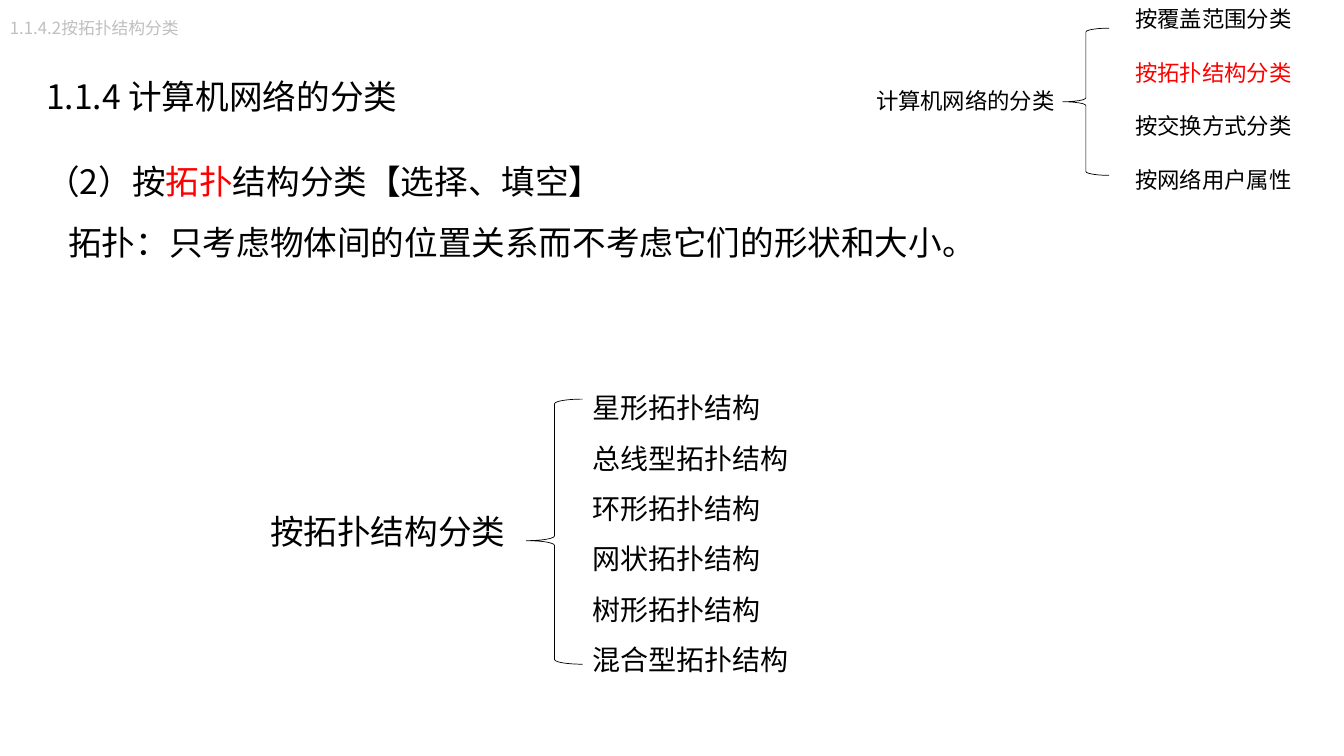
from lxml import etree
from pptx import Presentation
from pptx.dml.color import RGBColor
from pptx.enum.shapes import MSO_SHAPE as SHAPE
from pptx.enum.text import MSO_AUTO_SIZE as AUTO_SIZE
from pptx.oxml.ns import qn
from pptx.util import Inches, Pt

BLACK = RGBColor(0x00, 0x00, 0x00)
RED = RGBColor(0xFF, 0x00, 0x00)
GREY = RGBColor(0xBF, 0xBF, 0xBF)
WHITE = RGBColor(0xFF, 0xFF, 0xFF)
CJK = "Noto Sans CJK SC"

CRITERIA = ["按覆盖范围分类", [("按拓扑结构分类", RED)], "按交换方式分类", "按网络用户属性"]
TOPOLOGIES = ["星形拓扑结构", "总线型拓扑结构", "环形拓扑结构",
              "网状拓扑结构", "树形拓扑结构", "混合型拓扑结构"]


def add_text(slide, box, paragraphs, size, font="Arial", color=BLACK,
             spacing=1.0, gap=0, indents=(), wrap=True):
    """Each paragraph is a string or a list of (text, colour) runs."""
    tf = slide.shapes.add_textbox(*map(Inches, box)).text_frame
    tf.word_wrap = wrap
    tf.auto_size = AUTO_SIZE.SHAPE_TO_FIT_TEXT
    for i, content in enumerate(paragraphs):
        p = tf.paragraphs[0] if i == 0 else tf.add_paragraph()
        p.line_spacing = spacing
        if i and gap:
            p.space_before = Pt(gap)
        if i < len(indents):
            p._p.get_or_add_pPr().set("marL", str(Inches(indents[i])))
        runs = [(content, color)] if isinstance(content, str) else content
        for text, run_color in runs:
            r = p.add_run()
            r.text = text
            r.font.size = Pt(size)
            r.font.name = font
            r.font.color.rgb = run_color
            etree.SubElement(r._r.get_or_add_rPr(), qn("a:ea"), typeface=CJK)


def add_brace(slide, box, point=0.5):
    """Left brace whose tip sits at the given fraction of its height."""
    sp = slide.shapes.add_shape(SHAPE.LEFT_BRACE, *map(Inches, box))
    sp.adjustments[1] = point
    sp.shadow.inherit = False
    sp.fill.background()
    sp.line.color.rgb = BLACK
    sp.line.width = Pt(0.5)


def main():
    prs = Presentation()
    prs.slide_width, prs.slide_height = Inches(13.33), Inches(7.5)
    slide = prs.slides.add_slide(prs.slide_layouts[6])
    slide.background.fill.solid()
    slide.background.fill.fore_color.rgb = WHITE

    add_text(slide, (0, 0.13, 1.89, 0.3), ["1.1.4.2按拓扑结构分类"], 12,
             font=CJK, color=GREY)

    add_text(slide, (8.59, 0.82, 2.02, 0.37), ["计算机网络的分类"], 16)
    add_text(slide, (11.16, 0, 2.81, 2.02), CRITERIA, 16, gap=19.2)
    add_brace(slide, (10.54, 0.28, 0.46, 1.46))

    add_text(slide, (2.58, 5.02, 2.65, 0.5), ["按拓扑结构分类"], 24)
    add_brace(slide, (5.22, 3.96, 0.56, 2.63), point=0.534)
    add_text(slide, (5.78, 3.66, 2.16, 3.13), TOPOLOGIES, 20, spacing=1.5)

    heading = [("（2）按", BLACK), ("拓扑", RED), ("结构分类【选择、填空】", BLACK)]
    definition = "拓扑：只考虑物体间的位置关系而不考虑它们的形状和大小。"
    add_text(slide, (0.36, 1.35, 11.53, 1.31), [heading, definition], 24,
             font=CJK, spacing=1.5, indents=(0, 0.22))
    add_text(slide, (0.36, 0.5, 3.95, 0.64), ["1.1.4 计算机网络的分类"], 24,
             font=CJK, spacing=1.5, wrap=False)

    prs.save("out.pptx")


if __name__ == "__main__":
    main()
